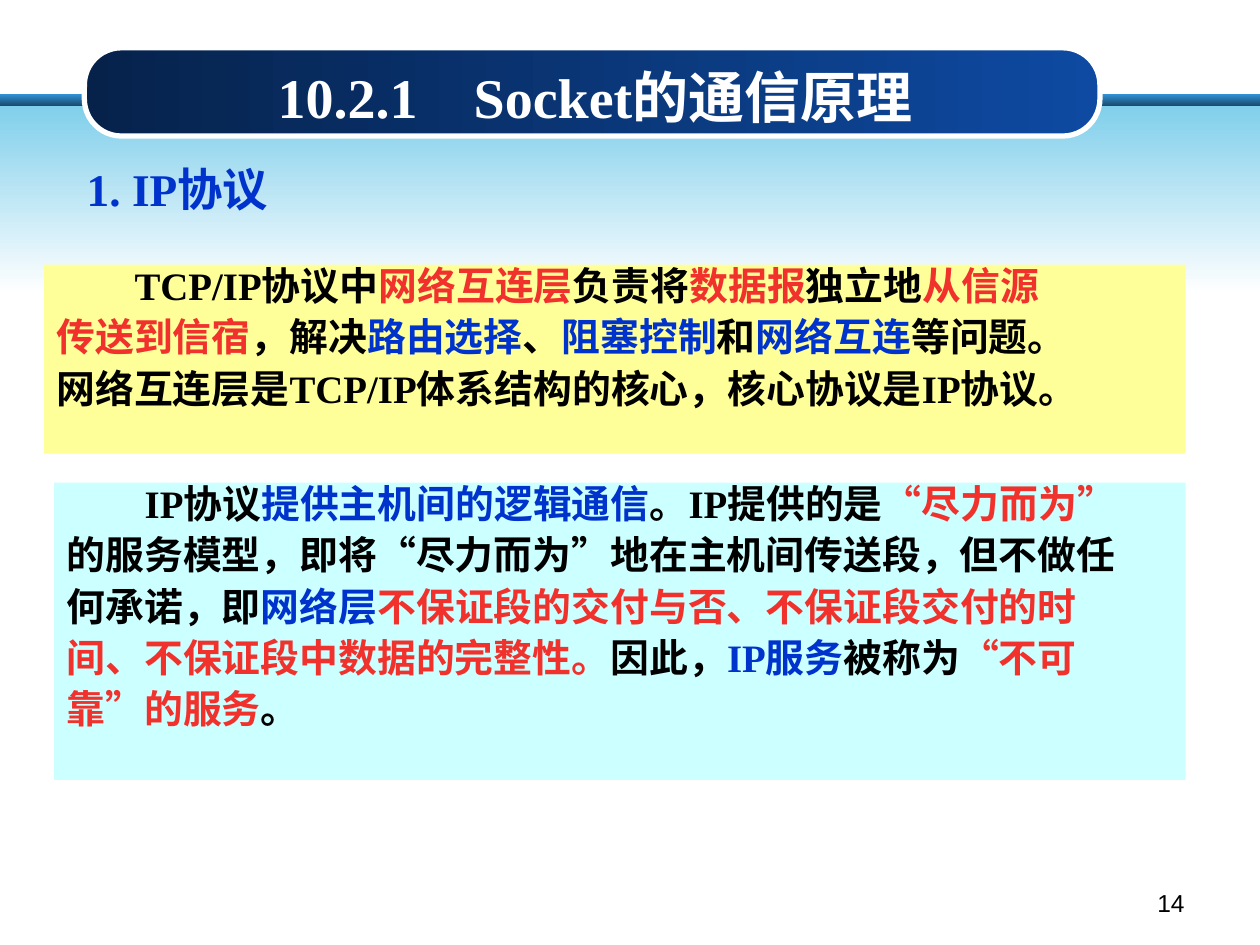
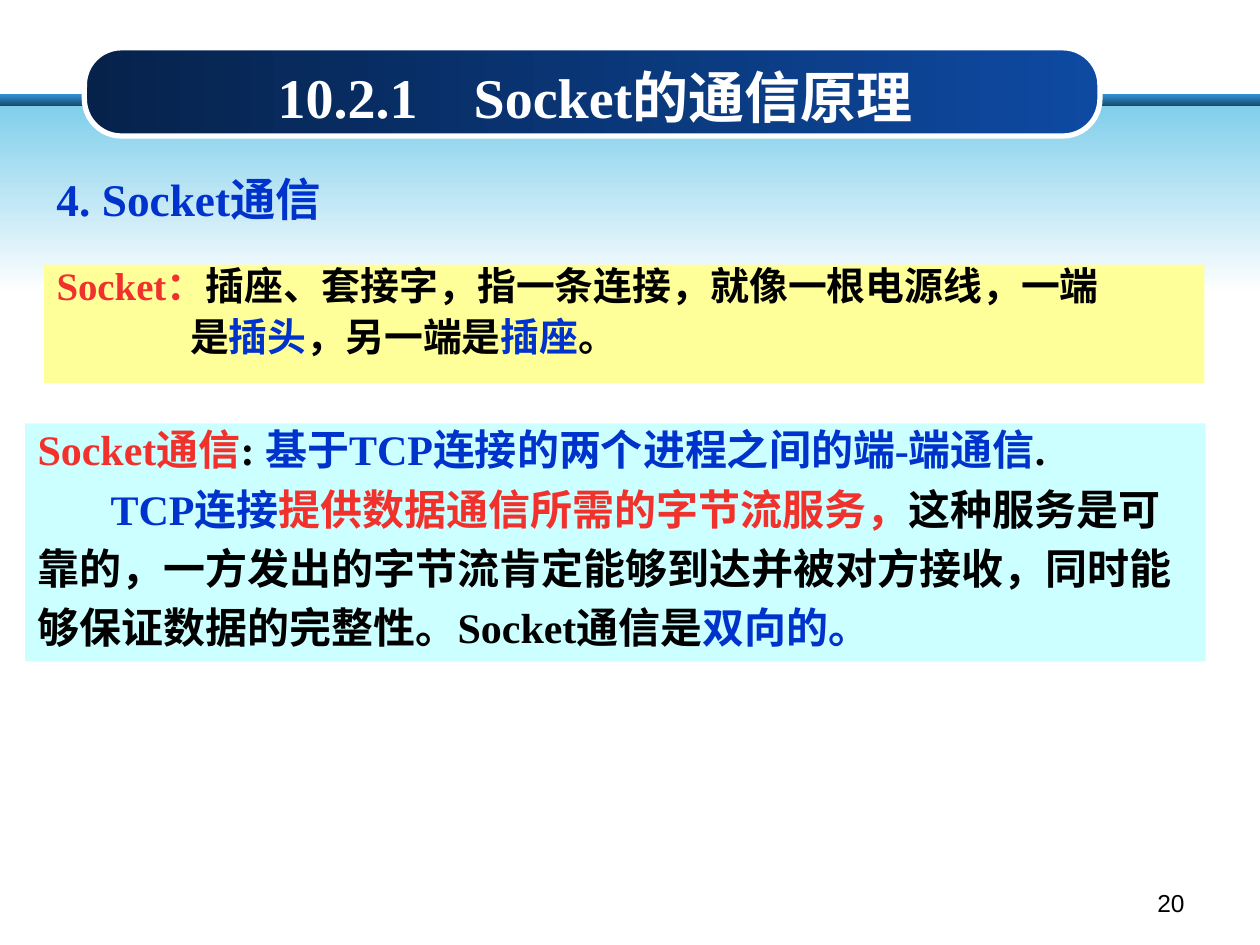
from lxml import etree
from pptx import Presentation
from pptx.dml.color import RGBColor
from pptx.enum.shapes import MSO_SHAPE
from pptx.enum.text import MSO_ANCHOR, PP_ALIGN
from pptx.oxml.ns import qn
from pptx.util import Inches, Pt

RECT, ROUND = MSO_SHAPE.RECTANGLE, MSO_SHAPE.ROUNDED_RECTANGLE
LEFT, CENTER, RIGHT = PP_ALIGN.LEFT, PP_ALIGN.CENTER, PP_ALIGN.RIGHT
TOP, BOTTOM = MSO_ANCHOR.TOP, MSO_ANCHOR.BOTTOM

COLORS = {
    "black": "000000", "white": "FFFFFF", "red": "F0312C", "blue": "0033CC",
    "yellow": "FFFF99", "cyan": "CCFFFF",
    "rule_top": "3191D3", "rule_end": "174362", "sky": "81CFEB",
    "navy": "06224B", "royal": "0E4AA2",
}
SERIF, SANS, CJK = "Times New Roman", "Arial", "Noto Sans CJK SC"
DOWN, ACROSS = 270, 0
HANG = 0.37
BODY = {"line_spacing": 0.8, "space_before": Pt(8), "alignment": LEFT}
LOOSE = {**BODY, "line_spacing": 0.9}
K, R, B = "black", "red", "blue"


def rgb(name):
    """Return a palette colour."""
    return RGBColor.from_string(COLORS[name])


def add_block(slide, kind, box):
    """Add a shape without shadow or outline at box (inches)."""
    s = slide.shapes.add_shape(kind, *map(Inches, box))
    s.shadow.inherit = False
    s.line.fill.background()
    return s


def add_gradient(slide, kind, box, ends, angle):
    """Add a shape filled with a two-colour gradient."""
    s = add_block(slide, kind, box)
    s.fill.gradient()
    s.fill.gradient_angle = angle
    for stop, name in zip(s.fill.gradient_stops, ends):
        stop.color.rgb = rgb(name)
    return s


def add_text_box(slide, box):
    """Add an empty text box at box (inches)."""
    return slide.shapes.add_textbox(*map(Inches, box))


def write(s, lines, size, form, anchor=TOP, font=SERIF, bold=True, hang=0):
    """Fill s with lines, each a first-line offset and (colour, text) runs."""
    tf = s.text_frame
    tf.word_wrap = True
    tf.vertical_anchor = anchor
    for i, (offset, runs) in enumerate(lines):
        p = tf.add_paragraph() if i else tf.paragraphs[0]
        for name, value in form.items():
            setattr(p, name, value)
        if hang:
            pPr = p._p.get_or_add_pPr()
            pPr.set("marL", str(Inches(hang)))
            pPr.set("indent", str(Inches(offset - hang)))
        for color, text in runs:
            r = p.add_run()
            r.text = text
            r.font.color.rgb = rgb(color)
            for name, value in {"name": font, "size": Pt(size), "bold": bold}.items():
                setattr(r.font, name, value)
            latin = r.font._element.find(qn("a:latin"))
            ea = etree.Element(qn("a:ea"), typeface=CJK)
            latin.addnext(ea)


def add_frame(slide, number):
    """Draw the bands, the title plate and the page number."""
    add_gradient(slide, RECT, (0, 0.75, 10, 0.1), ("rule_top", "rule_end"), DOWN)
    add_gradient(slide, RECT, (0, 0.84, 10, 1.49), ("sky", "white"), DOWN)
    plate = add_gradient(slide, ROUND, (0.67, 0.38, 8.06, 0.7), ("navy", "royal"), ACROSS)
    plate.adjustments[0] = 0.42
    plate.line.color.rgb = rgb("white")
    plate.line.width = Pt(3)
    title = add_text_box(slide, (1.77, 0.36, 5.91, 0.72))
    write(title, [(0, [("white", "10.2.1\u2003Socket的通信原理")])], 32,
          {"alignment": CENTER}, anchor=BOTTOM)
    page = add_text_box(slide, (7.17, 7, 2.33, 0.35))
    write(page, [(0, [(K, str(number))])], 14, {"alignment": RIGHT}, font=SANS, bold=False)


def add_heading(slide, box, text):
    """Write the blue section heading."""
    write(add_text_box(slide, box), [(0, [(B, text)])], 25.9, BODY, hang=HANG)


def add_panel(slide, box, fill, lines, size=22.2, form=BODY):
    """Draw a coloured panel holding lines of text."""
    s = add_block(slide, RECT, box)
    s.fill.solid()
    s.fill.fore_color.rgb = rgb(fill)
    write(s, lines, size, form, hang=HANG)


def add_content_slide(prs, number, heading, panels):
    """Add a slide with a heading and its panels."""
    slide = prs.slides.add_slide(prs.slide_layouts[6])
    add_frame(slide, number)
    add_heading(slide, *heading)
    for panel in panels:
        add_panel(slide, *panel)


IP_LAYER = [
    (0.62, [(K, "TCP/IP协议中"), (R, "网络互连层"), (K, "负责将"), (R, "数据报"),
            (K, "独立地"), (R, "从信源")]),
    (0, [(R, "传送到信宿"), (K, "，解决"), (B, "路由选择"), (K, "、"), (B, "阻塞控制"),
         (K, "和"), (B, "网络互连"), (K, "等问题。")]),
    (0, [(K, "网络互连层是TCP/IP体系结构的核心，核心协议是IP协议。")]),
]
IP_SERVICE = [
    (0.62, [(K, "IP协议"), (B, "提供主机间的逻辑通信"), (K, "。IP提供的是"),
            (R, "“尽力而为”")]),
    (0, [(K, "的服务模型，即将“尽力而为”地在主机间传送段，但不做任")]),
    (0, [(K, "何承诺，即"), (B, "网络层"), (R, "不保证段的交付与否、不保证段交付的时")]),
    (0, [(R, "间、不保证段中数据的完整性。"), (K, "因此，"), (B, "IP服务"),
         (K, "被称为"), (R, "“不可")]),
    (0, [(R, "靠”的服务"), (K, "。")]),
]
SOCKET_MEANING = [
    (0, [(R, "Socket："), (K, "插座、套接字，指一条连接，就像一根电源线，一端")]),
    (1.06, [(K, "是"), (B, "插头"), (K, "，另一端是"), (B, "插座"), (K, "。")]),
]
SOCKET_SERVICE = [
    (0, [(R, "Socket通信"), (K, ": "), (B, "基于TCP连接的两个进程之间的端-端通信"),
         (K, ".")]),
    (0.58, [(B, "TCP连接"), (R, "提供数据通信所需的字节流服务，"), (K, "这种服务是可")]),
    (0, [(K, "靠的，一方发出的字节流肯定能够到达并被对方接收，同时能")]),
    (0, [(K, "够保证数据的完整性。Socket通信是"), (B, "双向的。")]),
]

prs = Presentation()
prs.slide_width, prs.slide_height = Inches(10), Inches(7.5)
add_content_slide(prs, 14, ((0.59, 1.31, 1.97, 0.47), "1. IP协议"), [
    ((0.35, 2.1, 9.06, 1.5), "yellow", IP_LAYER),
    ((0.43, 3.83, 8.98, 2.36), "cyan", IP_SERVICE),
])
add_content_slide(prs, 20, ((0.35, 1.39, 2.6, 0.47), "4. Socket通信"), [
    ((0.35, 2.1, 9.21, 0.94), "yellow", SOCKET_MEANING),
    ((0.2, 3.36, 9.37, 1.89), "cyan", SOCKET_SERVICE, 24, LOOSE),
])
prs.save("out.pptx")
